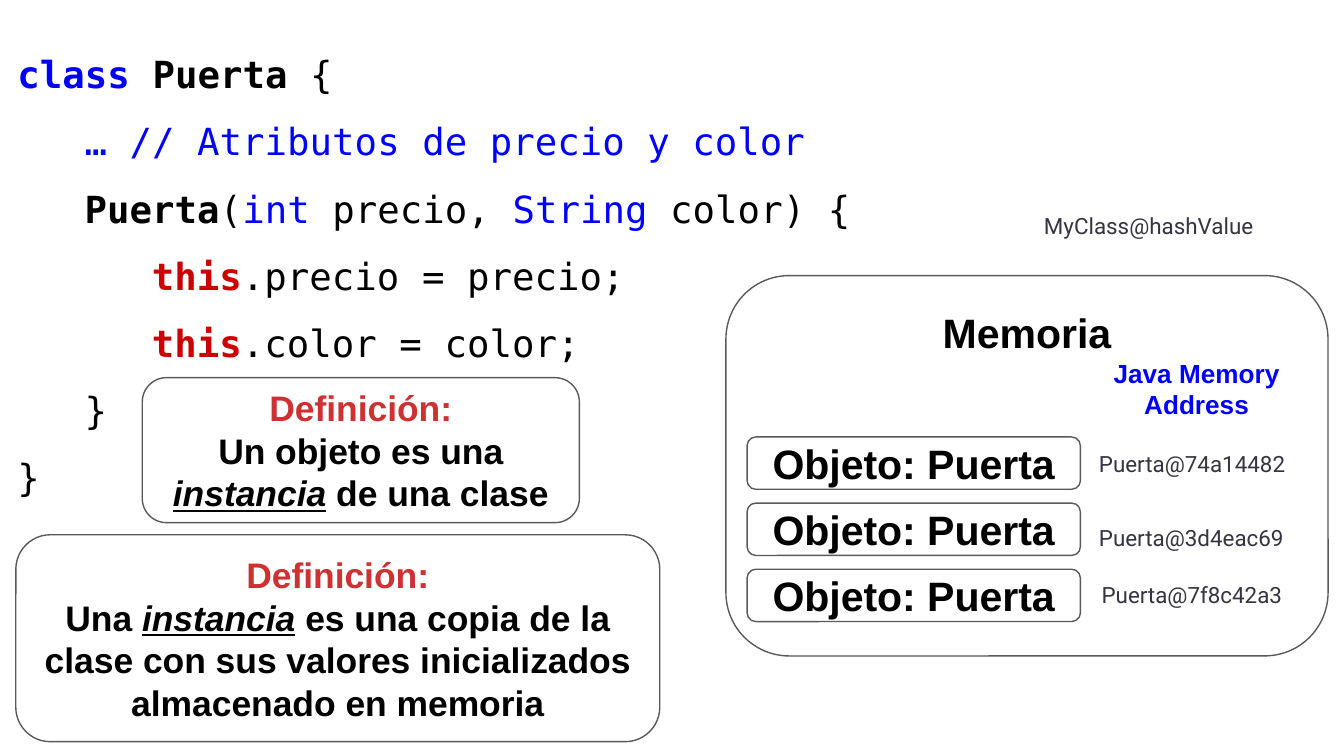
"""Build a slide on Java objects, instances and their memory addresses."""
from pptx import Presentation
from pptx.dml.color import RGBColor
from pptx.enum.shapes import MSO_SHAPE
from pptx.enum.text import MSO_ANCHOR, PP_ALIGN
from pptx.util import Cm, Pt

BLACK = RGBColor(0x00, 0x00, 0x00)
WHITE = RGBColor(0xFF, 0xFF, 0xFF)
BLUE = RGBColor(0x00, 0x00, 0xFF)
RED = RGBColor(0xCC, 0x00, 0x00)
CORAL = RGBColor(0xCD, 0x31, 0x31)
GRAY = RGBColor(0x59, 0x59, 0x59)
SLATE = RGBColor(0x34, 0x35, 0x41)

CODE_INDENT = 1.27
CODE_LINES = [
    (0, [("class", BLUE, True), (" ", BLACK, False), ("Puerta", BLACK, True), (" {", BLACK, False)]),
    (1, [("… // Atributos de precio y color", BLUE, False)]),
    (1, [("Puerta", BLACK, True), ("(", BLACK, False), ("int", BLUE, False),
         (" precio, ", BLACK, False), ("String", BLUE, False), (" color) {", BLACK, False)]),
    (2, [("this", RED, True), (".precio = precio;", BLACK, False)]),
    (2, [("this", RED, True), (".color = color;", BLACK, False)]),
    (1, [("}", BLACK, False)]),
    (0, [("}", BLACK, False)]),
]
ADDRESSES = [
    ("MyClass@hashValue", 19.48, 3.76),
    ("Puerta@74a14482", 20.52, 8.26),
    ("Puerta@3d4eac69", 20.52, 9.65),
    ("Puerta@7f8c42a3", 20.57, 10.74),
]


class SlideBuilder:
    """Hold the page and its text style, and draw each kind of element."""

    def __init__(self, page):
        self.page = page
        self.heading_font = "Arial"
        self.code_font = "DejaVu Sans Mono"
        self.label_font = "Roboto"

    def prepare(self, shape, anchor):
        frame = shape.text_frame
        frame.word_wrap = True
        frame.vertical_anchor = anchor
        frame.margin_left = frame.margin_right = Cm(0.25)
        frame.margin_top = frame.margin_bottom = Cm(0.25)
        return frame

    def style(self, para, name, size, color=BLACK, bold=False):
        para.font.name = name
        para.font.size = Pt(size)
        para.font.color.rgb = color
        para.font.bold = bold

    def span(self, para, text, color):
        span = para.add_run()
        span.text = text
        span.font.color.rgb = color
        return span

    def text_box(self, left, top, width, height):
        box = self.page.shapes.add_textbox(Cm(left), Cm(top), Cm(width), Cm(height))
        return self.prepare(box, MSO_ANCHOR.TOP)

    def card(self, left, top, width, height, size, text="", color=BLACK,
             outlined=True, anchor=MSO_ANCHOR.MIDDLE):
        box = self.page.shapes.add_shape(
            MSO_SHAPE.ROUNDED_RECTANGLE, Cm(left), Cm(top), Cm(width), Cm(height))
        box.shadow.inherit = False
        box.fill.solid()
        box.fill.fore_color.rgb = WHITE
        if outlined:
            box.line.color.rgb = GRAY
            box.line.width = Pt(0.75)
        else:
            box.line.fill.background()
        para = self.prepare(box, anchor).paragraphs[0]
        para.alignment = PP_ALIGN.CENTER
        self.style(para, self.heading_font, size, color, bold=True)
        if text:
            self.span(para, text, color)
        return para

    def definition(self, left, top, width, height, before, after):
        para = self.card(left, top, width, height, 19)
        self.span(para, "Definición:", CORAL)
        para.add_line_break()
        self.span(para, before, BLACK)
        term = self.span(para, "instancia", BLACK)
        term.font.italic = term.font.underline = True
        self.span(para, after, BLACK)

    def code(self, left, top, width, height, lines):
        frame = self.text_box(left, top, width, height)
        for index, (level, spans) in enumerate(lines):
            para = frame.add_paragraph() if index else frame.paragraphs[0]
            properties = para._p.get_or_add_pPr()
            properties.set("marL", str(Cm(CODE_INDENT * max(level - 1, 0))))
            properties.set("indent", str(Cm(CODE_INDENT * min(level, 1))))
            para.line_spacing = 1.5
            self.style(para, self.code_font, 20)
            for text, color, bold in spans:
                self.span(para, text, color).font.bold = bold

    def label(self, text, left, top):
        para = self.text_box(left, top, 5.1, 0.69).paragraphs[0]
        self.style(para, self.label_font, 12, SLATE)
        self.span(para, text, SLATE)


def main():
    deck = Presentation()
    deck.slide_width, deck.slide_height = Cm(25.4), Cm(14.29)
    builder = SlideBuilder(deck.slides.add_slide(deck.slide_layouts[6]))

    builder.card(13.72, 5.21, 11.38, 7.19, 22, "Memoria", anchor=MSO_ANCHOR.TOP)
    builder.code(0.08, 0.3, 18.36, 9.07, CODE_LINES)
    builder.definition(2.69, 7.14, 8.26, 2.74, "Un objeto es una ", " de una clase")
    builder.definition(
        0.3, 10.11, 12.17, 3.91, "Una ",
        " es una copia de la clase con sus valores inicializados almacenado en memoria")
    for row in range(3):
        builder.card(14.12, 8.26 + 1.25 * row, 6.3, 0.99, 22, "Objeto: Puerta")
    builder.card(20.24, 6.73, 4.75, 1.24, 14, "Java Memory Address", BLUE, outlined=False)
    for text, left, top in ADDRESSES:
        builder.label(text, left, top)

    deck.save("out.pptx")


if __name__ == "__main__":
    main()
